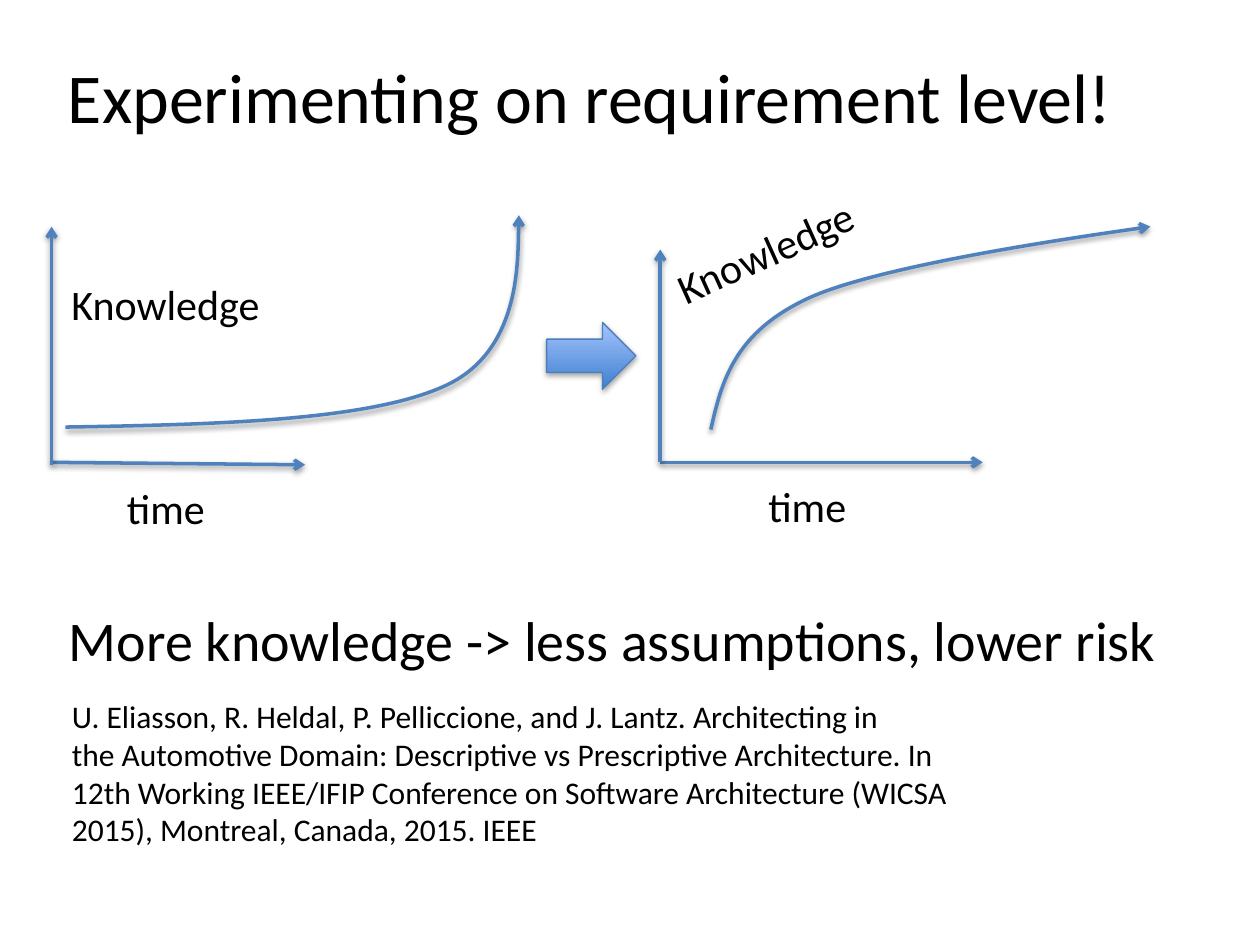
from lxml import etree
from pptx import Presentation
from pptx import util as u
from pptx.dml.color import RGBColor
from pptx.enum import shapes, text
from pptx.oxml.ns import qn

BLUE = RGBColor(0x4F, 0x81, 0xBD)
EDGE = RGBColor(0x4B, 0x7E, 0xBC)
DARK = RGBColor(0x3F, 0x80, 0xCE)
LIGHT = RGBColor(0xA4, 0xC4, 0xFF)
BLACK = RGBColor(0, 0, 0)


class Sketch:
    font = "Calibri"
    label_size = 24

    def __init__(self, slide):
        self.s = slide

    def shadow(self, sp, opacity):
        effects = etree.SubElement(sp._element.spPr, qn("a:effectLst"))
        outer = etree.SubElement(effects, qn("a:outerShdw"), blurRad="40000",
                                 dist="20000", dir="5400000", rotWithShape="0")
        color = etree.SubElement(outer, qn("a:srgbClr"), val=str(BLACK))
        etree.SubElement(color, qn("a:alpha"), val=str(opacity * 1000))

    def arrow_stroke(self, sp):
        sp.line.color.rgb = BLUE
        sp.line.width = u.Pt(2)
        etree.SubElement(sp.line._get_or_add_ln(), qn("a:tailEnd"), type="arrow")
        self.shadow(sp, 38)

    def axis(self, x1, y1, x2, y2):
        sp = self.s.shapes.add_connector(
            shapes.MSO_CONNECTOR.STRAIGHT, u.Cm(x1), u.Cm(y1), u.Cm(x2), u.Cm(y2))
        self.arrow_stroke(sp)

    def curve(self, start, *controls):
        points = [(u.Cm(x), u.Cm(y)) for x, y in controls]
        builder = self.s.shapes.build_freeform(u.Cm(start[0]), u.Cm(start[1]))
        builder.add_line_segments(points, close=False)
        sp = builder.convert_to_shape()
        segments = list(sp._element.spPr.iter(qn("a:lnTo")))
        for i in range(0, len(segments), 3):
            bezier = etree.Element(qn("a:cubicBezTo"))
            segments[i].addprevious(bezier)
            for segment in segments[i:i + 3]:
                bezier.append(segment[0])
                segment.getparent().remove(segment)
        sp.fill.background()
        self.arrow_stroke(sp)

    def block_arrow(self, x, y, w, h):
        sp = self.s.shapes.add_shape(
            shapes.MSO_SHAPE.RIGHT_ARROW, u.Cm(x), u.Cm(y), u.Cm(w), u.Cm(h))
        sp.fill.gradient()
        sp.fill.gradient_angle = 90
        for stop, color in zip(sp.fill.gradient_stops, (DARK, LIGHT)):
            stop.color.rgb = color
        sp.line.color.rgb = EDGE
        sp.line.width = u.Pt(0.75)
        self.shadow(sp, 35)

    def label(self, x, y, w, h, *lines, size=label_size, rotation=0, inset=0.25):
        sp = self.s.shapes.add_textbox(u.Cm(x), u.Cm(y), u.Cm(w), u.Cm(h))
        sp.rotation = rotation
        tf = sp.text_frame
        tf.word_wrap = False
        tf.auto_size = text.MSO_AUTO_SIZE.SHAPE_TO_FIT_TEXT
        tf.margin_left = tf.margin_right = u.Cm(inset)
        tf.margin_top = tf.margin_bottom = u.Cm(0.13)
        for i, line in enumerate(lines):
            p = tf.add_paragraph() if i else tf.paragraphs[0]
            r = p.add_run()
            r.text = line
            r.font.name = self.font
            r.font.size = u.Pt(size)
            r.font.color.rgb = BLACK


def main():
    prs = Presentation()
    prs.slide_width, prs.slide_height = u.Cm(25.4), u.Cm(19.05)
    sketch = Sketch(prs.slides.add_slide(prs.slide_layouts[6]))

    sketch.label(1.12, 0.94, 21.87, 1.96, "Experimenting on requirement level!", size=40)

    sketch.curve((1.32, 8.61), (4.39, 8.56), (7.47, 8.48), (8.99, 7.77),
                 (10.52, 7.06), (10.46, 4.34), (10.46, 4.34))
    sketch.axis(1.04, 9.32, 6.15, 9.37)
    sketch.axis(1.04, 9.37, 1.04, 4.57)
    sketch.label(2.31, 9.6, 2.11, 1.27, "time")
    sketch.label(1.19, 5.49, 4.37, 1.27, "Knowledge")

    sketch.curve((14.33, 8.66), (14.55, 7.67), (14.81, 6.71), (16.28, 6.02),
                 (17.75, 5.33), (23.19, 4.57), (23.19, 4.57))
    sketch.axis(13.31, 9.32, 19.81, 9.32)
    sketch.axis(13.31, 9.32, 13.31, 5.03)
    sketch.label(15.24, 9.55, 2.11, 1.27, "time")
    sketch.label(13.28, 4.42, 4.37, 1.27, "Knowledge", rotation=335.7)

    sketch.block_arrow(11.02, 6.5, 1.8, 1.35)

    sketch.label(1.14, 12.07, 22.68, 1.63,
                 "More knowledge -> less assumptions, lower risk", size=32)
    sketch.label(1.32, 13.92, 18.19, 3.33,
                 "U. Eliasson, R. Heldal, P. Pelliccione, and J. Lantz. Architecting in",
                 "the Automotive Domain: Descriptive vs Prescriptive Architecture. In",
                 "12th Working IEEE/IFIP Conference on Software Architecture (WICSA",
                 "2015), Montreal, Canada, 2015. IEEE",
                 size=18, inset=0.13)
    prs.save("out.pptx")


if __name__ == "__main__":
    main()
